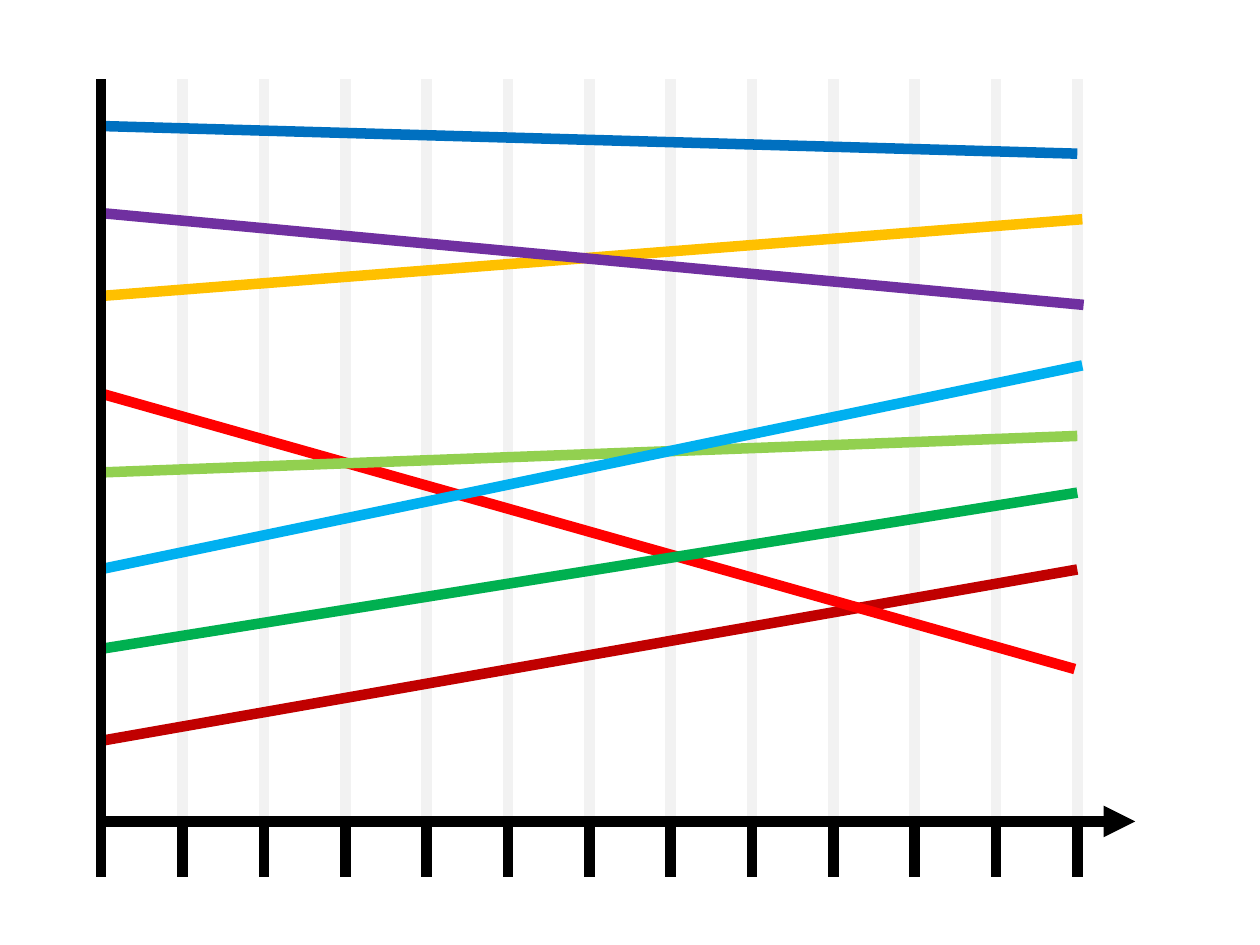
from lxml import etree
from pptx import Presentation
from pptx.dml.color import RGBColor
from pptx.enum import shapes
from pptx.oxml import ns
from pptx.util import Inches, Pt

BLACK, GRID = "000000", "F2F2F2"
WEIGHT = 6

# colour, start (x, y), end (x, y), from back to front
TRENDS = [
    ("C00000", (0.8, 5.88), (8.55, 4.52)),
    ("FF0000", (0.79, 3.12), (8.53, 5.31)),
    ("FFC000", (8.59, 1.74), (0.79, 2.35)),
    ("92D050", (0.79, 3.75), (8.55, 3.46)),
    ("00B050", (8.55, 3.91), (0.8, 5.15)),
    ("00B0F0", (0.79, 4.52), (8.59, 2.9)),
    ("0070C0", (8.55, 1.22), (0.8, 1)),
    ("7030A0", (0.79, 1.69), (8.6, 2.42)),
]

TOP, BASE, TICK_END = 0.63, 6.5, 6.96
AXIS_X, AXIS_Y, ARROW_TIP = 0.8, 6.52, 9.01
FIRST_TICK, LAST_TICK, TICK_COUNT = 1.45, 8.55, 12
STEP = (LAST_TICK - FIRST_TICK) / (TICK_COUNT - 1)
TICKS = [FIRST_TICK + i * STEP for i in range(TICK_COUNT)]


def add_line(parent, color, start, end, arrow=False):
    line = parent.add_connector(
        shapes.MSO_CONNECTOR.STRAIGHT, *map(Inches, start + end))
    line.line.color.rgb = RGBColor.from_string(color)
    line.line.width = Pt(WEIGHT)
    properties = line._element.spPr
    etree.SubElement(properties, ns.qn("a:effectLst"))
    if arrow:
        outline = properties.find(ns.qn("a:ln"))
        etree.SubElement(outline, ns.qn("a:tailEnd"), type="triangle")


def add_verticals(parent, color, xs, bottom, top):
    for x in xs:
        add_line(parent, color, (x, bottom), (x, top))


prs = Presentation()
prs.slide_width, prs.slide_height = Inches(10), Inches(7.5)
canvas = prs.slides.add_slide(prs.slide_layouts[6]).shapes

add_verticals(canvas.add_group_shape().shapes, GRID, TICKS, BASE, TOP)
add_line(canvas, BLACK, (0.79, AXIS_Y), (ARROW_TIP, AXIS_Y), arrow=True)
add_verticals(canvas, BLACK, TICKS, TICK_END, BASE)
for color, start, end in TRENDS:
    add_line(canvas, color, start, end)
add_verticals(canvas, BLACK, [AXIS_X], BASE, TOP)
add_verticals(canvas, BLACK, [AXIS_X], TICK_END, BASE)

prs.save("out.pptx")
